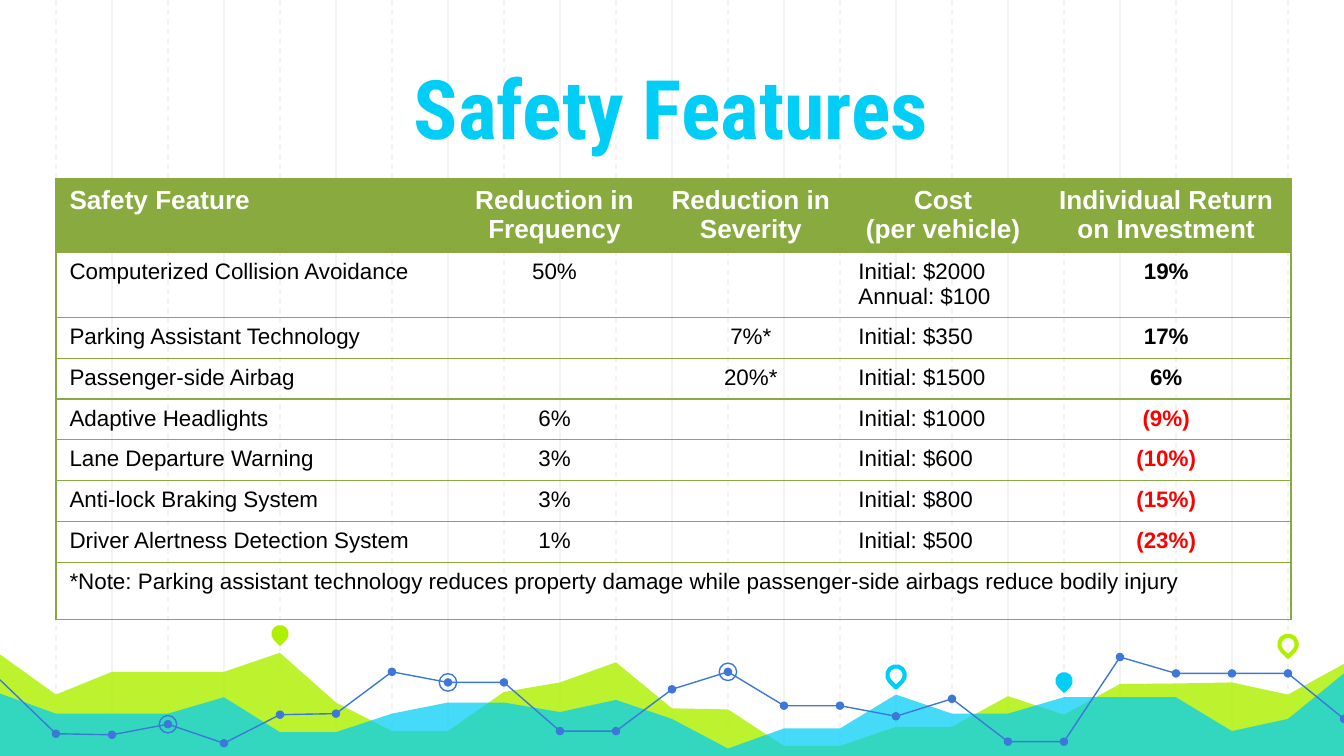
from lxml import etree
from pptx import Presentation
from pptx.dml.color import RGBColor
from pptx.enum.dml import MSO_LINE
from pptx.enum.shapes import MSO_CONNECTOR, MSO_SHAPE
from pptx.enum.text import MSO_ANCHOR, PP_ALIGN
from pptx.oxml.ns import qn
from pptx.util import Cm, Pt

STRAIGHT, DASH = MSO_CONNECTOR.STRAIGHT, MSO_LINE.DASH
OVAL, TEAR = MSO_SHAPE.OVAL, MSO_SHAPE.TEAR
LEFT, CENTER, BOTTOM = PP_ALIGN.LEFT, PP_ALIGN.CENTER, MSO_ANCHOR.BOTTOM

WHITE = RGBColor(0xFF, 0xFF, 0xFF)
BLACK = RGBColor(0x00, 0x00, 0x00)
RED = RGBColor(0xFF, 0x00, 0x00)
GRID = RGBColor(0xF3, 0xF3, 0xF3)
LIME = RGBColor(0xAF, 0xF0, 0x00)
CYAN = RGBColor(0x00, 0xCE, 0xF6)
BLUE = RGBColor(0x3C, 0x78, 0xD8)
OLIVE = RGBColor(0x89, 0xAA, 0x3E)

W, H = 25.4, 14.29
STEP = W / 24


def paint(shape, fill=None, line=None, width=0.75):
    """Set fill and outline of a shape, and remove its shadow."""
    shape.shadow.inherit = False
    if fill is None:
        shape.fill.background()
    else:
        shape.fill.solid()
        shape.fill.fore_color.rgb = fill
    if line is None:
        shape.line.fill.background()
    else:
        shape.line.color.rgb = line
        shape.line.width = Pt(width)


def centred(kind, i, y, size):
    """Add a square preset shape centred on grid line i at height y."""
    return s.shapes.add_shape(kind, Cm(i * STEP - size / 2), Cm(y - size / 2),
                              Cm(size), Cm(size))


prs = Presentation()
prs.slide_width, prs.slide_height = Cm(W), Cm(H)
s = prs.slides.add_slide(prs.slide_layouts[6])

# Background grid: solid on even lines, dashed on odd ones
for i in [*range(2, 23, 2), *range(1, 24, 2)]:
    c = s.shapes.add_connector(STRAIGHT, Cm(i * STEP), 0, Cm(i * STEP), Cm(H))
    c.line.color.rgb = GRID
    c.line.width = Pt(0.75)
    if i % 2:
        c.line.dash_style = DASH
    etree.SubElement(c._element.spPr, qn("a:effectLst"))

# Translucent waves, one height per grid line
lime_wave = [12.37, 13.13, 12.7, 12.7, 12.7, 12.34, 13.28, 13.82, 13.82,
             13.08, 12.9, 12.52, 13.39, 13.41, 14.1, 14.1, 13.74, 13.74,
             13.16, 13.51, 12.93, 12.92, 12.9, 13.13, 12.55]
cyan_wave = [13.11, 13.49, 13.49, 13.49, 13.18, 13.84, 13.84, 13.49, 13.28,
             13.28, 13.46, 13.23, 13.59, 14.15, 13.77, 13.77, 13.13, 13.49,
             13.49, 13.18, 13.18, 13.18, 13.82, 13.59, 12.73]
for heights, color, alpha in ((lime_wave, LIME, 82), (cyan_wave, CYAN, 73)):
    fb = s.shapes.build_freeform(0, Cm(H))
    fb.add_line_segments([(Cm(i * STEP), Cm(y)) for i, y in enumerate(heights)]
                         + [(Cm(W), Cm(H))], close=True)
    wave = fb.convert_to_shape()
    paint(wave, fill=color)
    clr = wave._element.spPr.find(qn("a:solidFill"))[0]
    etree.SubElement(clr, qn("a:alpha"), val=str(alpha * 1000))

# Line with dots and rings
trend = [12.85, 13.87, 13.89, 13.69, 14.05, 13.51, 13.49, 12.7, 12.9, 12.9,
         13.82, 13.82, 13.03, 12.7, 13.34, 13.34, 13.54, 13.21, 14.02, 14.02,
         12.42, 12.73, 12.73, 12.73, 13.59]
for first, last in ((0, 11), (11, 20), (20, 24)):
    pts = [(Cm(i * STEP), Cm(trend[i])) for i in range(first, last + 1)]
    fb = s.shapes.build_freeform(*pts[0])
    fb.add_line_segments(pts[1:], close=False)
    paint(fb.convert_to_shape(), line=BLUE)
for i, y in enumerate(trend[1:], 1):
    paint(centred(OVAL, i, y, 0.16), fill=BLUE)
for i in (3, 8, 13):
    paint(centred(OVAL, i, trend[i], 0.33), line=BLUE)

# Map pins
for i, y, fill, line in ((5, 11.98, LIME, None), (16, 12.76, None, CYAN),
                         (19, 12.87, CYAN, None), (23, 12.18, None, LIME)):
    pin = centred(TEAR, i, y, 0.33)
    pin.rotation = 135
    paint(pin, fill, line, 2.25)

# Table
rows = [
    ("Safety Feature", "Reduction in Frequency", "Reduction in Severity",
     "Cost\n(per vehicle)", "Individual Return on Investment"),
    ("Computerized Collision Avoidance", "50%", "",
     "Initial: $2000\nAnnual: $100", "19%"),
    ("Parking Assistant Technology", "", "7%*", "Initial: $350", "17%"),
    ("Passenger-side Airbag", "", "20%*", "Initial: $1500", "6%"),
    ("Adaptive Headlights", "6%", "", "Initial: $1000", "(9%)"),
    ("Lane Departure Warning", "3%", "", "Initial: $600", "(10%)"),
    ("Anti-lock Braking System", "3%", "", "Initial: $800", "(15%)"),
    ("Driver Alertness Detection System", "1%", "", "Initial: $500", "(23%)"),
    ("*Note: Parking assistant technology reduces property damage while "
     "passenger-side airbags reduce bodily injury", "", "", "", ""),
]
widths = [7.49, 3.86, 3.56, 3.71, 4.72]
heights = [1.4, 1.22] + [0.76] * 6 + [1.09]
tbl = s.shapes.add_table(len(rows), len(widths), Cm(1.06), Cm(3.38),
                         Cm(sum(widths)), Cm(sum(heights))).table
tbl.first_row = tbl.horz_banding = False
for col, w in zip(tbl.columns, widths):
    col.width = Cm(w)
for row, h in zip(tbl.rows, heights):
    row.height = Cm(h)
note = len(rows) - 1
tbl.cell(note, 0).merge(tbl.cell(note, 4))

for ri, row in enumerate(rows):
    for ci, text in enumerate(row):
        cell = tbl.cell(ri, ci)
        header = ri == 0
        if header:
            cell.fill.solid()
            cell.fill.fore_color.rgb = OLIVE
        else:
            cell.fill.background()
        tf = cell.text_frame
        for k, line in enumerate(text.split("\n")):
            p = tf.add_paragraph() if k else tf.paragraphs[0]
            p.alignment = LEFT if ci == 0 or (ci == 3 and not header) else CENTER
            if not line:
                etree.SubElement(p._p, qn("a:endParaRPr"), sz="1200")
                continue
            r = p.add_run()
            r.text = line
            r.font.name = "Arial"
            r.font.size = Pt(14 if header else 12)
            r.font.bold = header or ci == 4
            r.font.color.rgb = (WHITE if header else
                                RED if line.startswith("(") else BLACK)
        tcPr = cell._tc.get_or_add_tcPr()
        shown = {"L": ci == 0, "R": ci == 4 or ri == note, "T": True, "B": True}
        for k, (side, visible) in enumerate(shown.items()):
            ln = etree.Element(qn("a:ln" + side), w=str(Pt(0.75)))
            if visible:
                fill = etree.SubElement(ln, qn("a:solidFill"))
                etree.SubElement(fill, qn("a:srgbClr"), val=str(OLIVE))
            else:
                etree.SubElement(ln, qn("a:noFill"))
            tcPr.insert(k, ln)

# Title
tf = s.shapes.add_textbox(Cm(3.53), Cm(-0.03), Cm(18.31), Cm(3.23)).text_frame
tf.word_wrap = True
tf.vertical_anchor = BOTTOM
tf.margin_left = tf.margin_right = tf.margin_top = tf.margin_bottom = Cm(0.25)
p = tf.paragraphs[0]
p.alignment = CENTER
r = p.add_run()
r.text = "Safety Features"
r.font.name = "Roboto Condensed"
r.font.size = Pt(44)
r.font.bold = True
r.font.color.rgb = CYAN

prs.save("out.pptx")
